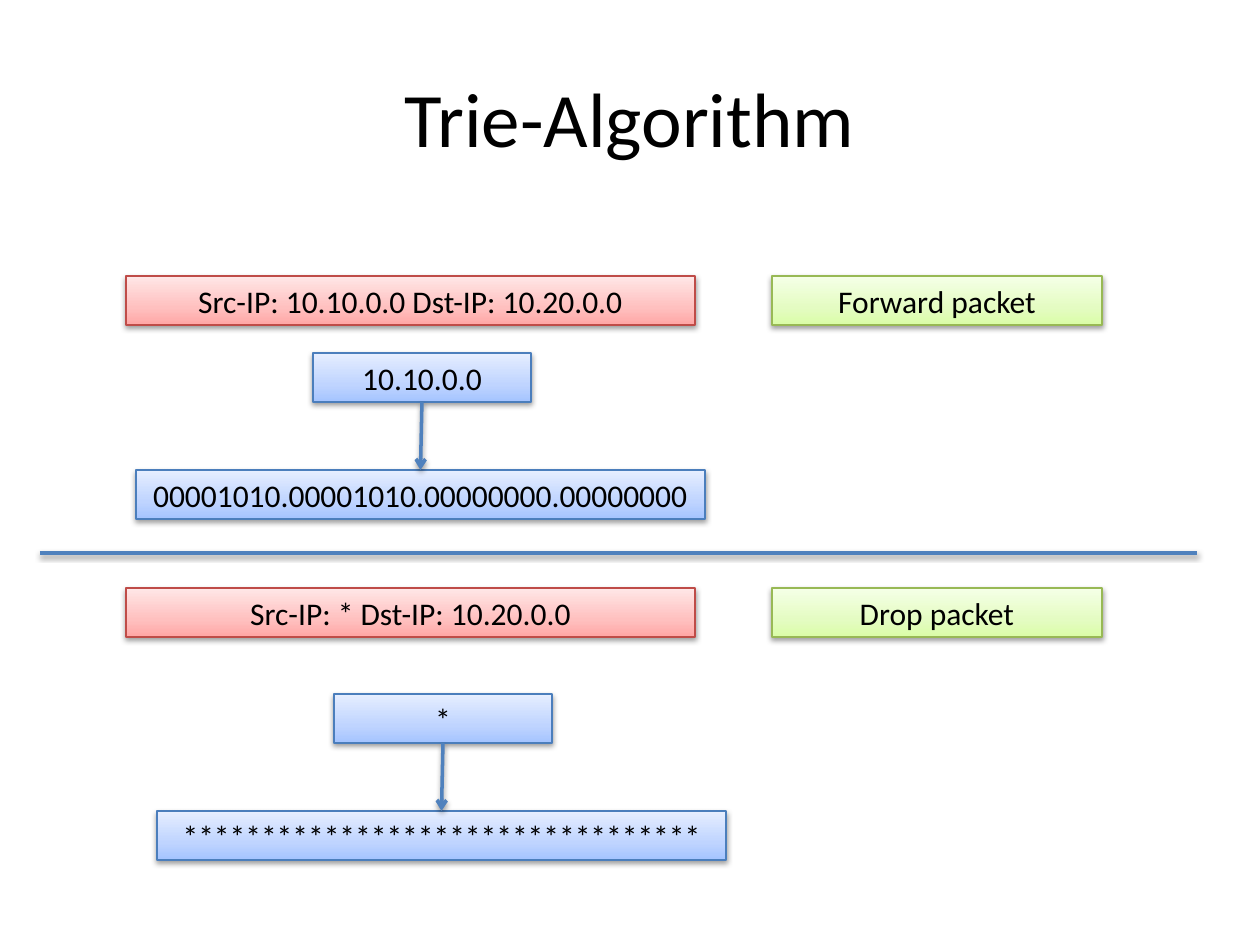
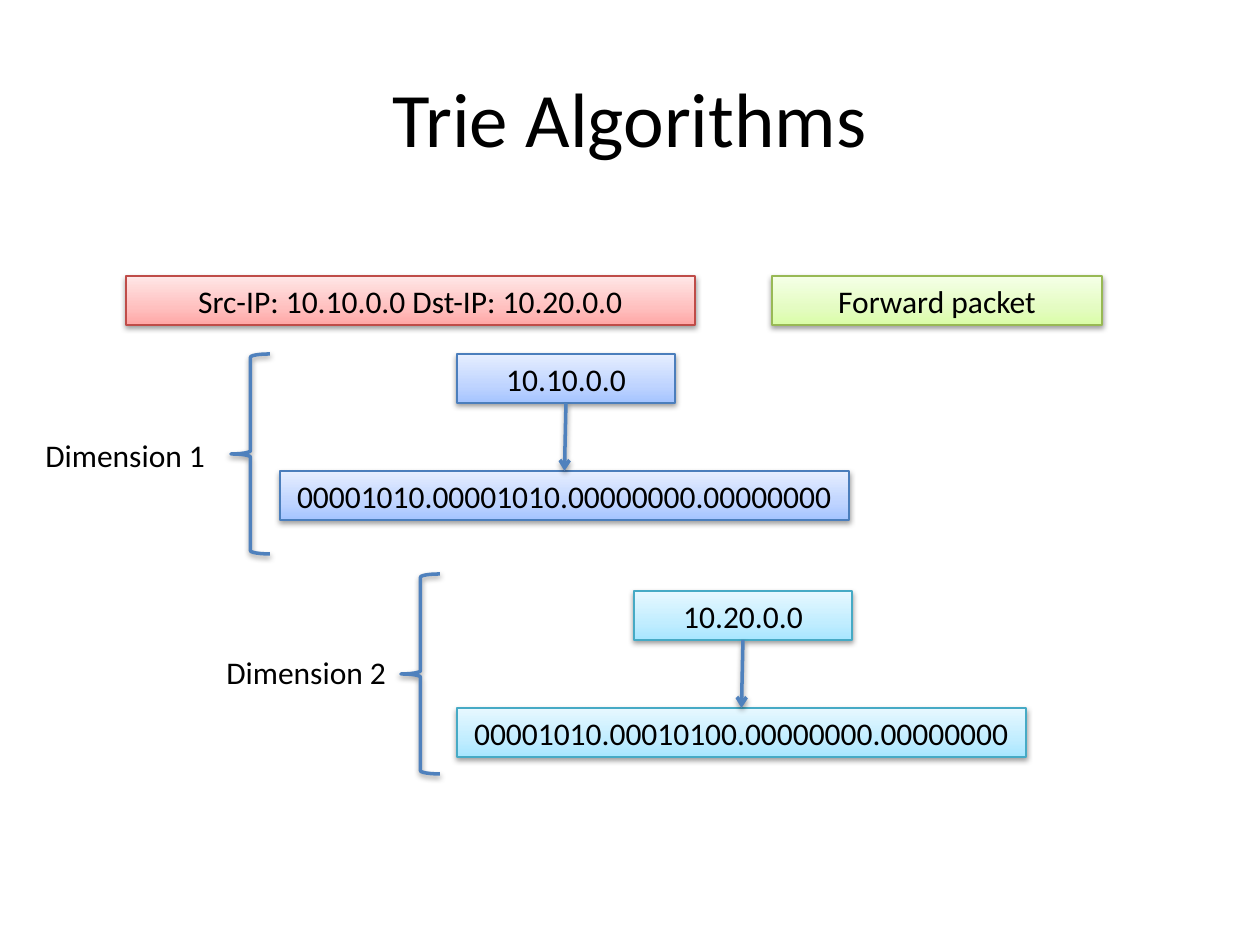
from copy import deepcopy
from dataclasses import dataclass

from lxml.etree import SubElement
from pptx import Presentation
from pptx.dml.color import RGBColor
from pptx.enum.shapes import MSO_CONNECTOR, MSO_SHAPE
from pptx.enum.text import MSO_ANCHOR, MSO_AUTO_SIZE, PP_ALIGN
from pptx.oxml.ns import qn
from pptx.util import Pt

EMU_PER_PX = 914400 / 126
TITLE_ONLY_LAYOUT = 5
TOP, BOTTOM = 0, 2  # connection sites of a rectangle

BOX_HEIGHT = 49
WIDE, MEDIUM, NARROW = 569, 330, 218
RULE_LEFT, ACTION_LEFT = 126, 772
ADDRESS_INDENT, BITS_DROP = 177, 117
BRACE_WIDTH, BRACE_HEIGHT = 39, 200


@dataclass(frozen=True)
class Tint:
    """Outline colour and the gradient from the bottom of a box to its top."""
    outline: str
    bottom: str
    middle: str
    top: str


@dataclass(frozen=True)
class Theme:
    font: str = "Calibri"
    title_size: int = 44
    body_size: int = 18
    text: str = "000000"
    accent: str = "4F81BD"
    accent_width: float = 2
    outline_width: float = 0.75
    red: Tint = Tint("BF4C48", "FFA6A5", "FFC0BF", "FFE7E7")
    green: Tint = Tint("98B955", "DAFDA7", "E4FCC2", "F5FFE7")
    blue: Tint = Tint("4B7EBC", "A4C4FF", "BFD4FF", "E6EEFF")
    aqua: Tint = Tint("46AAC5", "A7E6FF", "C1EDFF", "E7F8FF")


THEME = Theme()


def px(*lengths):
    return [round(length * EMU_PER_PX) for length in lengths]


def write_text(shape, text, size=THEME.body_size, align=PP_ALIGN.CENTER,
               anchor=MSO_ANCHOR.MIDDLE, wrap=True):
    frame = shape.text_frame
    frame.word_wrap = wrap
    frame.vertical_anchor = anchor
    para = frame.paragraphs[0]
    para.alignment = align
    span = para.add_run()
    span.text = text
    span.font.name = THEME.font
    span.font.size = Pt(size)
    span.font.color.rgb = RGBColor.from_string(THEME.text)


def set_line(shape, color=THEME.accent, width=THEME.accent_width):
    shape.line.color.rgb = RGBColor.from_string(color)
    shape.line.width = Pt(width)


def add_shadow(shape):
    """Soft shadow straight below; call it once fill and line are set."""
    effects = SubElement(shape._element.spPr, qn("a:effectLst"))
    shadow = SubElement(effects, qn("a:outerShdw"), blurRad="40000",
                        dist="20000", dir="5400000", rotWithShape="0")
    color = SubElement(shadow, qn("a:srgbClr"), val="000000")
    SubElement(color, qn("a:alpha"), val="38000")


def fill_gradient(shape, tint):
    shape.fill.gradient()
    shape.fill.gradient_angle = 90
    stop_list = shape._element.spPr.find(".//" + qn("a:gsLst"))
    stop_list.append(deepcopy(stop_list[-1]))
    stops = zip(shape.fill.gradient_stops, (0, 0.35, 1),
                (tint.bottom, tint.middle, tint.top))
    for stop, position, color in stops:
        stop.position = position
        stop.color.rgb = RGBColor.from_string(color)


def add_title_slide(deck, title):
    page = deck.slides.add_slide(deck.slide_layouts[TITLE_ONLY_LAYOUT])
    box = page.shapes.title
    box.left, box.top, box.width, box.height = px(63, 38, 1134, 158)
    write_text(box, title, size=THEME.title_size)
    return page


def add_box(page, text, left, top, width, tint):
    box = page.shapes.add_shape(MSO_SHAPE.RECTANGLE,
                                *px(left, top, width, BOX_HEIGHT))
    fill_gradient(box, tint)
    set_line(box, tint.outline, THEME.outline_width)
    add_shadow(box)
    write_text(box, text, wrap=False)
    return box


def add_line(page, start=(0, 0), end=(0, 0)):
    line = page.shapes.add_connector(MSO_CONNECTOR.STRAIGHT,
                                     *px(*start, *end))
    set_line(line)
    return line


def add_arrow(page, source, target):
    arrow = add_line(page)
    arrow.begin_connect(source, BOTTOM)
    arrow.end_connect(target, TOP)
    SubElement(arrow.line._get_or_add_ln(), qn("a:tailEnd"), type="arrow")
    add_shadow(arrow)


def add_rule(page, condition, action, top):
    """A filter rule: the matched header and what happens to the packet."""
    add_box(page, condition, RULE_LEFT, top, WIDE, THEME.red)
    add_box(page, action, ACTION_LEFT, top, MEDIUM, THEME.green)


def add_expansion(page, address, bits, left, top, tint=THEME.blue):
    """An address with an arrow down to its bit string."""
    address_box = add_box(page, address, left + ADDRESS_INDENT, top,
                          NARROW, tint)
    bits_box = add_box(page, bits, left, top + BITS_DROP, WIDE, tint)
    add_arrow(page, address_box, bits_box)


def add_divider(page, left, right, top):
    divider = add_line(page, (left, top), (right, top))
    add_shadow(divider)


def add_brace(page, left, top):
    brace = page.shapes.add_shape(MSO_SHAPE.LEFT_BRACE,
                                  *px(left, top, BRACE_WIDTH, BRACE_HEIGHT))
    brace.fill.background()
    set_line(brace)
    add_shadow(brace)


def add_label(page, text, left, top):
    label = page.shapes.add_textbox(*px(left, top, 186, 50))
    write_text(label, text, align=PP_ALIGN.LEFT, anchor=MSO_ANCHOR.TOP,
               wrap=False)
    label.text_frame.auto_size = MSO_AUTO_SIZE.SHAPE_TO_FIT_TEXT


def build_rules_slide(deck):
    page = add_title_slide(deck, "Trie-Algorithm")
    add_rule(page, "Src-IP: 10.10.0.0 Dst-IP: 10.20.0.0", "Forward packet", 276)
    add_expansion(page, "10.10.0.0", "00001010.00001010.00000000.00000000",
                  136, 353)
    add_divider(page, 40, 1197, 553)
    add_rule(page, "Src-IP: * Dst-IP: 10.20.0.0", "Drop packet", 588)
    add_expansion(page, "*", "*" * 33, 157, 694)


def build_dimensions_slide(deck):
    page = add_title_slide(deck, "Trie Algorithms")
    add_rule(page, "Src-IP: 10.10.0.0 Dst-IP: 10.20.0.0", "Forward packet", 276)
    add_expansion(page, "10.10.0.0", "00001010.00001010.00000000.00000000",
                  280, 354)
    add_expansion(page, "10.20.0.0", "00001010.00010100.00000000.00000000",
                  457, 591, THEME.aqua)
    add_brace(page, 231, 354)
    add_brace(page, 401, 574)
    add_label(page, "Dimension 1", 33, 430)
    add_label(page, "Dimension 2", 214, 647)


def main():
    deck = Presentation()
    deck.slide_width, deck.slide_height = px(1260, 945)
    build_rules_slide(deck)
    build_dimensions_slide(deck)
    deck.save("out.pptx")


if __name__ == "__main__":
    main()
